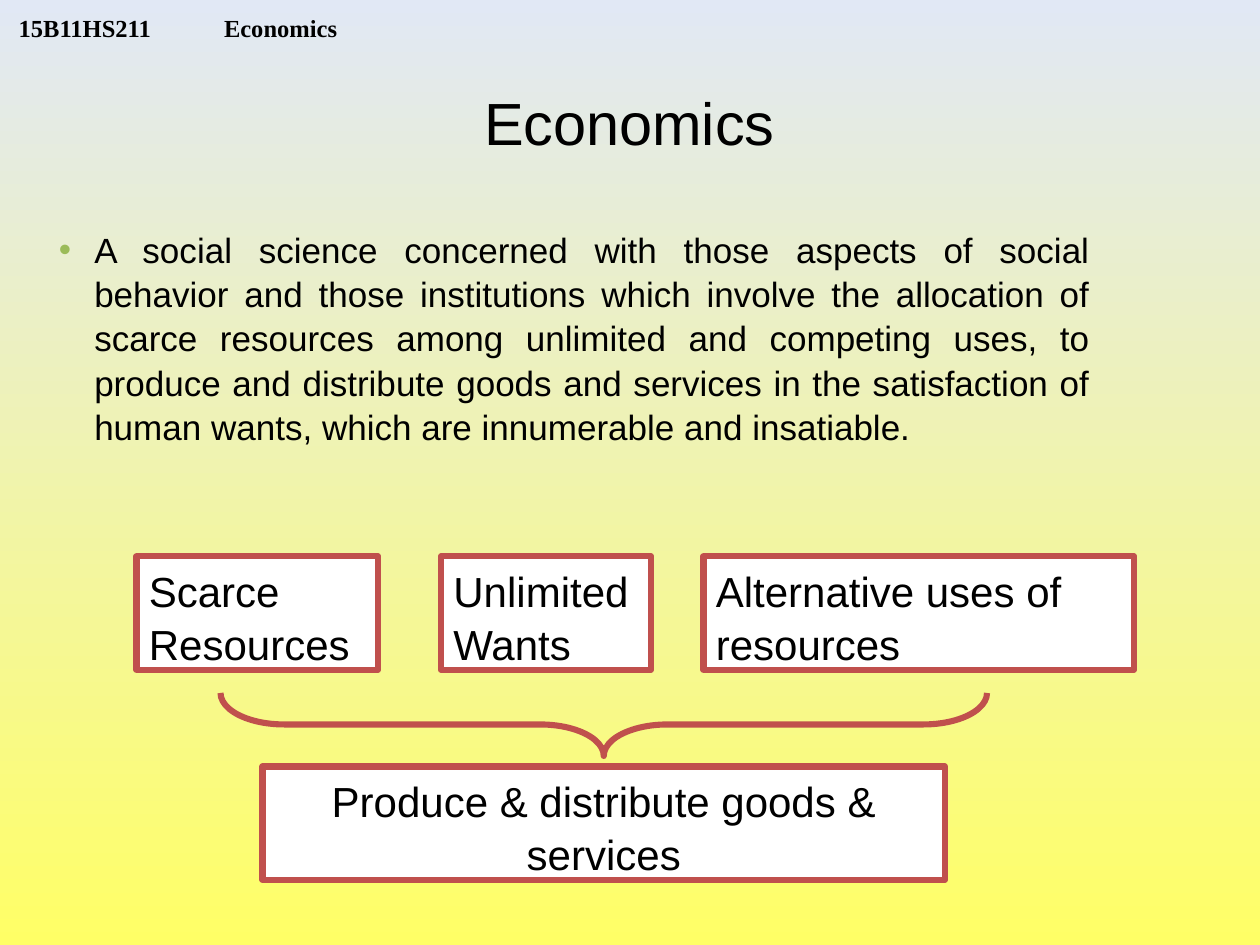
import pptx
import pptx.util
import pptx.dml.color
import pptx.enum.shapes
import pptx.enum.text
import pptx.oxml

COLORS = {"text": "000000", "box": "FFFFFF", "accent": "C0504D",
          "bullet": "9BBB59", "bottom": "FFFF66", "top": "E1E8F5"}
COLS, ROWS = 120, 90
ALIGN = pptx.enum.text.PP_ALIGN
ANCHOR = pptx.enum.text.MSO_ANCHOR
SHAPE = pptx.enum.shapes.MSO_SHAPE
NS = 'xmlns:a="http://schemas.openxmlformats.org/drawingml/2006/main"'


def rgb(name):
    return pptx.dml.color.RGBColor.from_string(COLORS[name])


class Deck:
    font = "Arial"
    line_width = pptx.util.Pt(3.5)

    def __init__(self):
        self.prs = pptx.Presentation()
        self.prs.slide_width = pptx.util.Inches(10)
        self.prs.slide_height = pptx.util.Inches(7.5)
        self.s = self.prs.slides.add_slide(self.prs.slide_layouts[5])

    def place(self, x, y, w, h):
        dx, dy = self.prs.slide_width / COLS, self.prs.slide_height / ROWS
        return [round(v) for v in (x * dx, y * dy, w * dx, h * dy)]

    def background(self):
        fill = self.s.background.fill
        fill.gradient()
        fill.gradient_angle = 90
        for stop, name in zip(fill.gradient_stops, ("bottom", "top")):
            stop.color.rgb = rgb(name)

    def set_text(self, sp, text, size, align, anchor=ANCHOR.TOP, font=None, bold=False, spacing=1.0):
        tf = sp.text_frame
        tf.word_wrap = True
        tf.auto_size = pptx.enum.text.MSO_AUTO_SIZE.NONE
        tf.vertical_anchor = anchor
        p = tf.paragraphs[0]
        p.alignment = align
        p.line_spacing = spacing
        p.space_before = pptx.util.Pt(0)
        r = p.add_run()
        r.text = text
        r.font.name = font or self.font
        r.font.size = pptx.util.Pt(size)
        r.font.bold = bold
        r.font.color.rgb = rgb("text")
        return p

    def add_props(self, p, *elements):
        pPr = p._p.get_or_add_pPr()
        for xml in elements:
            pPr.append(pptx.oxml.parse_xml(xml))
        return pPr

    def header(self, text, tab, *cell):
        sp = self.s.shapes.add_textbox(*self.place(*cell))
        sp.text_frame.margin_top = sp.text_frame.margin_bottom = 0
        p = self.set_text(sp, text, 14, ALIGN.LEFT, ANCHOR.BOTTOM, "Times New Roman", True)
        pos = pptx.util.Inches(tab)
        self.add_props(p, f'<a:tabLst {NS}><a:tab pos="{pos}" algn="l"/></a:tabLst>')

    def title(self, text, *cell):
        sp = self.s.shapes.title
        sp.left, sp.top, sp.width, sp.height = self.place(*cell)
        self.set_text(sp, text, 34, ALIGN.CENTER, ANCHOR.MIDDLE)

    def bullet(self, text, *cell):
        sp = self.s.shapes.add_textbox(*self.place(*cell))
        p = self.set_text(sp, text, 20, ALIGN.JUSTIFY, spacing=1.05)
        pPr = self.add_props(
            p,
            f'<a:buClr {NS}><a:srgbClr val="{COLORS["bullet"]}"/></a:buClr>',
            f'<a:buFont {NS} typeface="{self.font}"/>',
            f'<a:buChar {NS} char="•"/>')
        pPr.set("marL", str(pptx.util.Inches(0.4)))
        pPr.set("indent", str(pptx.util.Inches(-0.28)))

    def shape(self, kind, *cell):
        sp = self.s.shapes.add_shape(kind, *self.place(*cell))
        sp.shadow.inherit = False
        sp.line.color.rgb = rgb("accent")
        sp.line.width = self.line_width
        return sp

    def box(self, text, align, *cell):
        sp = self.shape(SHAPE.RECTANGLE, *cell)
        sp.fill.solid()
        sp.fill.fore_color.rgb = rgb("box")
        self.set_text(sp, text, 24, align, spacing=1.05)

    def brace(self, *cell):
        sp = self.shape(SHAPE.RIGHT_BRACE, *cell)
        sp.fill.background()
        sp.adjustments[0] = 1.01
        sp.rotation = 90


def main():
    deck = Deck()
    deck.background()
    deck.header("15B11HS211\tEconomics", 1.63, 0.6, 0, 38.4, 4)
    deck.title("Economics", 10.4, 4.9, 99.1, 13.3)
    deck.bullet("A social science concerned with those aspects of social behavior and those "
                "institutions which involve the allocation of scarce resources among unlimited "
                "and competing uses, to produce and distribute goods and services in the "
                "satisfaction of human wants, which are innumerable and insatiable.",
                3, 21, 102, 54)
    for text, x, w in (("Scarce Resources", 13, 23),
                       ("Unlimited Wants", 42, 20),
                       ("Alternative uses of resources", 67, 41)):
        deck.box(text, ALIGN.LEFT, x, 53, w, 10.8)
    deck.brace(54.5, 32.5, 6, 73)
    deck.box("Produce & distribute goods & services", ALIGN.CENTER, 25, 73, 65, 10.8)
    deck.prs.save("out.pptx")


if __name__ == "__main__":
    main()
